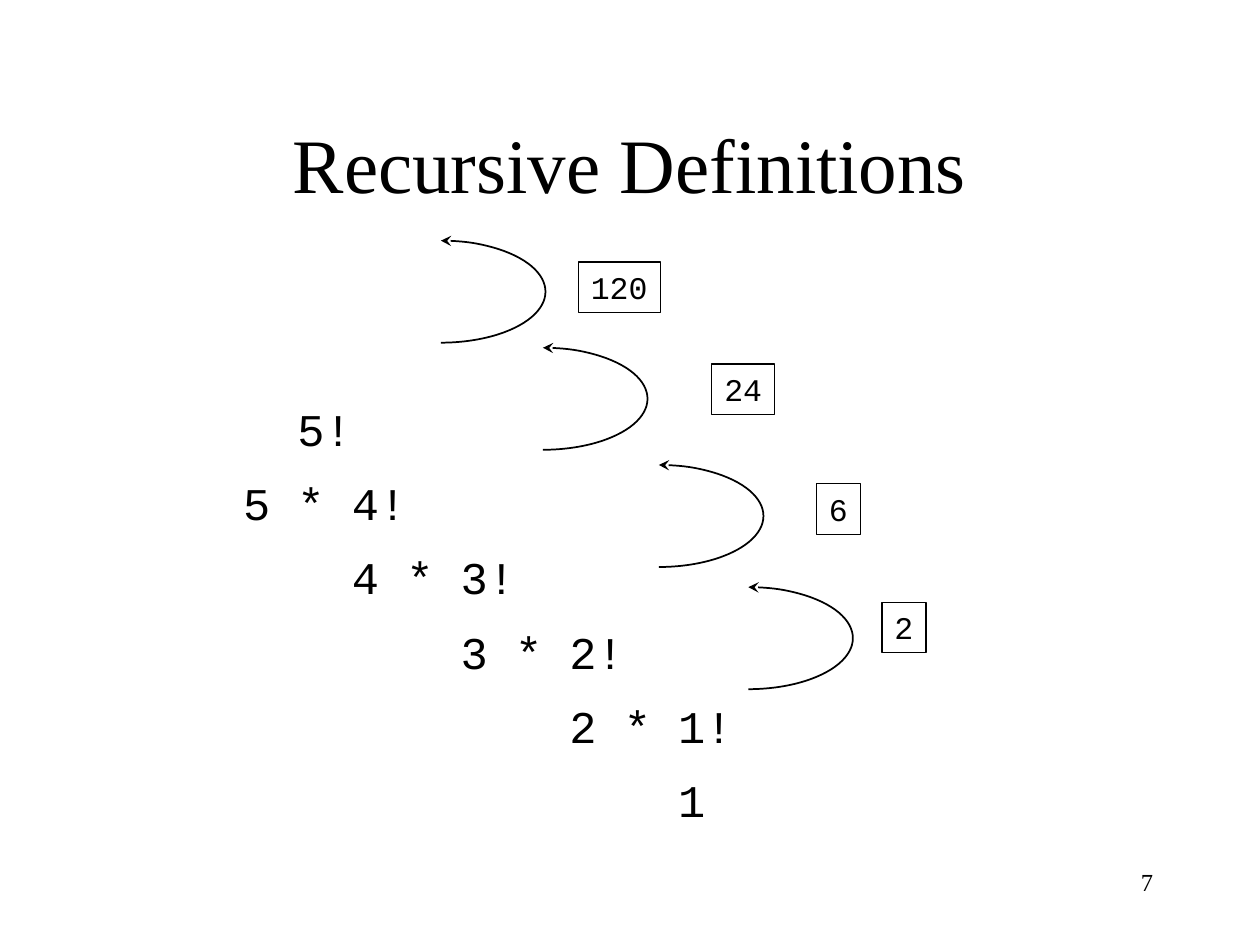
from lxml.etree import SubElement
from pptx import Presentation
from pptx.dml.color import RGBColor
from pptx.enum.shapes import MSO_SHAPE
from pptx.enum.text import MSO_ANCHOR, MSO_AUTO_SIZE, PP_ALIGN
from pptx.oxml.ns import qn
from pptx.util import Inches, Pt

TITLE = "Recursive Definitions"
PAGE_NUMBER = "7"
INK = "000000"
SERIF, MONO = "Times New Roman", "Courier New"

# Expansion step and its indent, counted in characters
STEPS = [
    ("5!", 7),
    ("5 * 4!", 5),
    ("4 * 3!", 9),
    ("3 * 2!", 13),
    ("2 * 1!", 17),
    ("1", 21),
]
# Returned value, left and top of its box, left and top of its return arrow
RETURNS = [
    ("2", (7, 4.78), (5.11, 4.66)),
    ("6", (6.48, 3.84), (4.4, 3.69)),
    ("24", (5.65, 2.89), (3.48, 2.76)),
    ("120", (4.59, 2.08), (2.67, 1.91)),
]
STEP_SIZE = 25.9
CHAR_WIDTH = 0.6 * STEP_SIZE  # points, fixed-pitch font


def color(hex_string):
    return RGBColor.from_string(hex_string)


def place(shape, left, top, width, height):
    shape.left, shape.top = Inches(left), Inches(top)
    shape.width, shape.height = Inches(width), Inches(height)


def format_text(paragraph, font_name, size, align=PP_ALIGN.LEFT):
    paragraph.alignment = align
    for run in paragraph.runs:
        run.font.name = font_name
        run.font.size = Pt(size)
        run.font.color.rgb = color(INK)


def outline(shape, width):
    """Leave the shape unfilled with a thin dark line."""
    shape.shadow.inherit = False
    shape.fill.background()
    shape.line.color.rgb = color(INK)
    shape.line.width = Pt(width)


def add_steps(body):
    place(body, 0.75, 2.17, 8.5, 4.5)
    frame = body.text_frame
    frame.auto_size = MSO_AUTO_SIZE.NONE
    frame.vertical_anchor = MSO_ANCHOR.BOTTOM
    frame.margin_bottom = Inches(0.11)
    frame.text = "\n".join(step for step, _ in STEPS)
    for row, (paragraph, (_, indent)) in enumerate(zip(frame.paragraphs, STEPS)):
        properties = paragraph._p.get_or_add_pPr()
        properties.set("marL", str(Pt(indent * CHAR_WIDTH)))
        properties.set("indent", "0")
        SubElement(properties, qn("a:buNone"))
        paragraph.line_spacing = 0.8
        paragraph.space_before = Pt(17.6 if row else 0)
        format_text(paragraph, MONO, STEP_SIZE)


def add_return_arrow(slide, left, top):
    arrow = slide.shapes.add_shape(
        MSO_SHAPE.ARC, Inches(left), Inches(top), Inches(1.66), Inches(0.81))
    # Right half of the ellipse, 270 to 90 degrees, in units of 5/3 degree
    arrow.adjustments[0] = 162
    arrow.adjustments[1] = 54
    outline(arrow, 1)
    SubElement(arrow.line._get_or_add_ln(), qn("a:headEnd"), type="stealth")


def add_value_box(slide, value, left, top):
    width = 0.2 + 0.15 * len(value)
    box = slide.shapes.add_shape(
        MSO_SHAPE.RECTANGLE, Inches(left), Inches(top), Inches(width), Inches(0.4))
    outline(box, 0.75)
    frame = box.text_frame
    frame.word_wrap = False
    frame.vertical_anchor = MSO_ANCHOR.TOP
    frame.text = value
    format_text(frame.paragraphs[0], MONO, 18)


def main():
    presentation = Presentation()
    presentation.slide_width, presentation.slide_height = Inches(10), Inches(7.5)
    slide = presentation.slides.add_slide(presentation.slide_layouts[1])

    title = slide.shapes.title
    place(title, 0.75, 0.67, 8.5, 1.25)
    title.text_frame.text = TITLE
    title.text_frame.auto_size = MSO_AUTO_SIZE.NONE
    title.text_frame.vertical_anchor = MSO_ANCHOR.MIDDLE
    format_text(title.text_frame.paragraphs[0], SERIF, 44, PP_ALIGN.CENTER)

    add_steps(slide.placeholders[1])
    for _, _, arrow_corner in RETURNS:
        add_return_arrow(slide, *arrow_corner)
    for value, box_corner, _ in RETURNS:
        add_value_box(slide, value, *box_corner)

    number = slide.shapes.add_textbox(
        Inches(7.17), Inches(6.83), Inches(2.08), Inches(0.5))
    number.text_frame.word_wrap = True
    number.text_frame.text = PAGE_NUMBER
    format_text(number.text_frame.paragraphs[0], SERIF, 14, PP_ALIGN.RIGHT)

    presentation.save("out.pptx")


if __name__ == "__main__":
    main()
